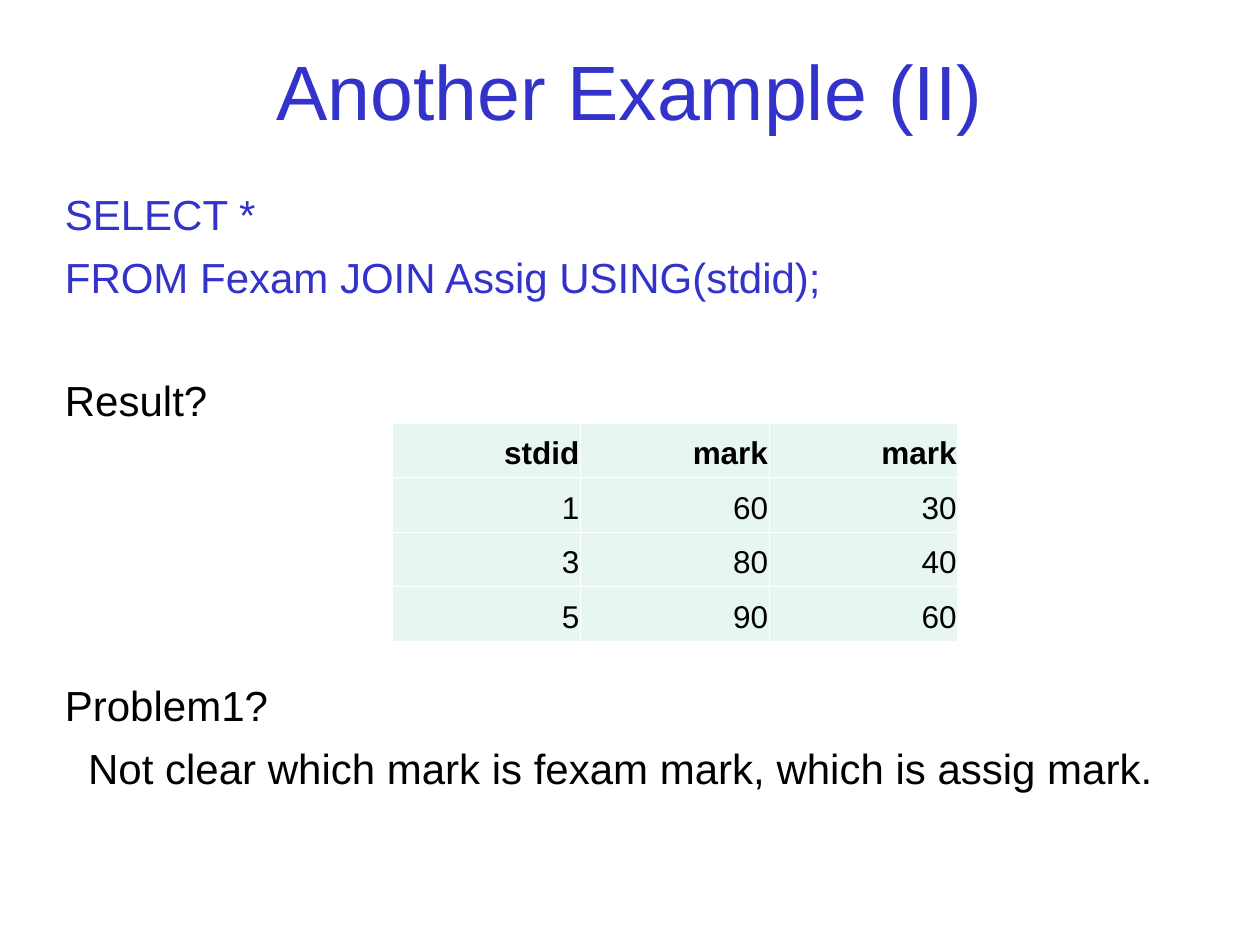
from lxml import etree
from pptx import Presentation
from pptx.dml.color import RGBColor
from pptx.enum.text import MSO_ANCHOR, PP_ALIGN
from pptx.oxml.ns import qn
from pptx.util import Pt

MIDDLE, BOTTOM = MSO_ANCHOR.MIDDLE, MSO_ANCHOR.BOTTOM
LEFT, CENTER, RIGHT = PP_ALIGN.LEFT, PP_ALIGN.CENTER, PP_ALIGN.RIGHT

FONT = "Arial"
BLUE, BLACK, WHITE, MINT = "3333CC", "000000", "FFFFFF", "E7F6EF"
LINE_STEP, GAP = 34.6, 7  # body line pitch and space between lines

TITLE = "Another Example (II)"
# text, colour, lines left free above, left indent
BODY = [
    ("SELECT *", BLUE, 0, 0),
    ("FROM Fexam JOIN Assig USING(stdid);", BLUE, 0, 0),
    ("Result?", BLACK, 1, 0),
    ("Problem1?", BLACK, 4, 0),
    ("Not clear which mark is fexam mark, which is assig mark.", BLACK, 0, 13.3),
]
RESULT = [
    ("stdid", "mark", "mark"),
    ("1", "60", "30"),
    ("3", "80", "40"),
    ("5", "90", "60"),
]


def color(value):
    return RGBColor.from_string(value)


def write(para, text, size, ink, align=LEFT, bold=False):
    para.text = text
    para.alignment = align
    font = para.font
    font.name, font.size, font.bold = FONT, Pt(size), bold
    font.color.rgb = color(ink)


def add_text_box(page, left, top, width, height):
    box = page.shapes.add_textbox(Pt(left), Pt(top), Pt(width), Pt(height))
    box.text_frame.word_wrap = True
    return box.text_frame


def set_borders(cell, ink, width):
    properties = cell._tc.get_or_add_tcPr()
    for position, side in enumerate(("lnL", "lnR", "lnT", "lnB")):
        line = etree.Element(qn(f"a:{side}"), w=str(Pt(width)))
        fill = etree.SubElement(line, qn("a:solidFill"))
        etree.SubElement(fill, qn("a:srgbClr"), val=ink)
        properties.insert(position, line)


deck = Presentation()
deck.slide_width, deck.slide_height = Pt(720), Pt(540)
page = deck.slides.add_slide(deck.slide_layouts[6])

# Title
frame = add_text_box(page, 54, 24, 612, 54)
frame.vertical_anchor = MIDDLE
write(frame.paragraphs[0], TITLE, 44, BLUE, CENTER)

# Query and questions
frame = add_text_box(page, 30, 104.4, 660, 394)
for index, (text, ink, free_lines, indent) in enumerate(BODY):
    para = frame.add_paragraph() if index else frame.paragraphs[0]
    write(para, text, 24, ink)
    para.space_before = Pt(GAP + free_lines * LINE_STEP if index else 0)
    if indent:
        para._p.get_or_add_pPr().set("marL", str(Pt(indent)))

# Result table
columns, rows = len(RESULT[0]), len(RESULT)
column_width, row_height = 107.8, 31.2
table = page.shapes.add_table(
    rows, columns, Pt(224), Pt(241.8),
    Pt(columns * column_width), Pt(rows * row_height)).table
table.horz_banding = False
for column in table.columns:
    column.width = Pt(column_width)
for row_index, values in enumerate(RESULT):
    table.rows[row_index].height = Pt(row_height)
    for column_index, value in enumerate(values):
        cell = table.cell(row_index, column_index)
        cell.fill.solid()
        cell.fill.fore_color.rgb = color(MINT)
        cell.vertical_anchor = BOTTOM
        cell.margin_left = cell.margin_right = Pt(0.7)
        cell.margin_top = cell.margin_bottom = Pt(3.6)
        set_borders(cell, WHITE, 0.45)
        write(cell.text_frame.paragraphs[0], value, 18, BLACK, RIGHT, row_index == 0)

deck.save("out.pptx")
